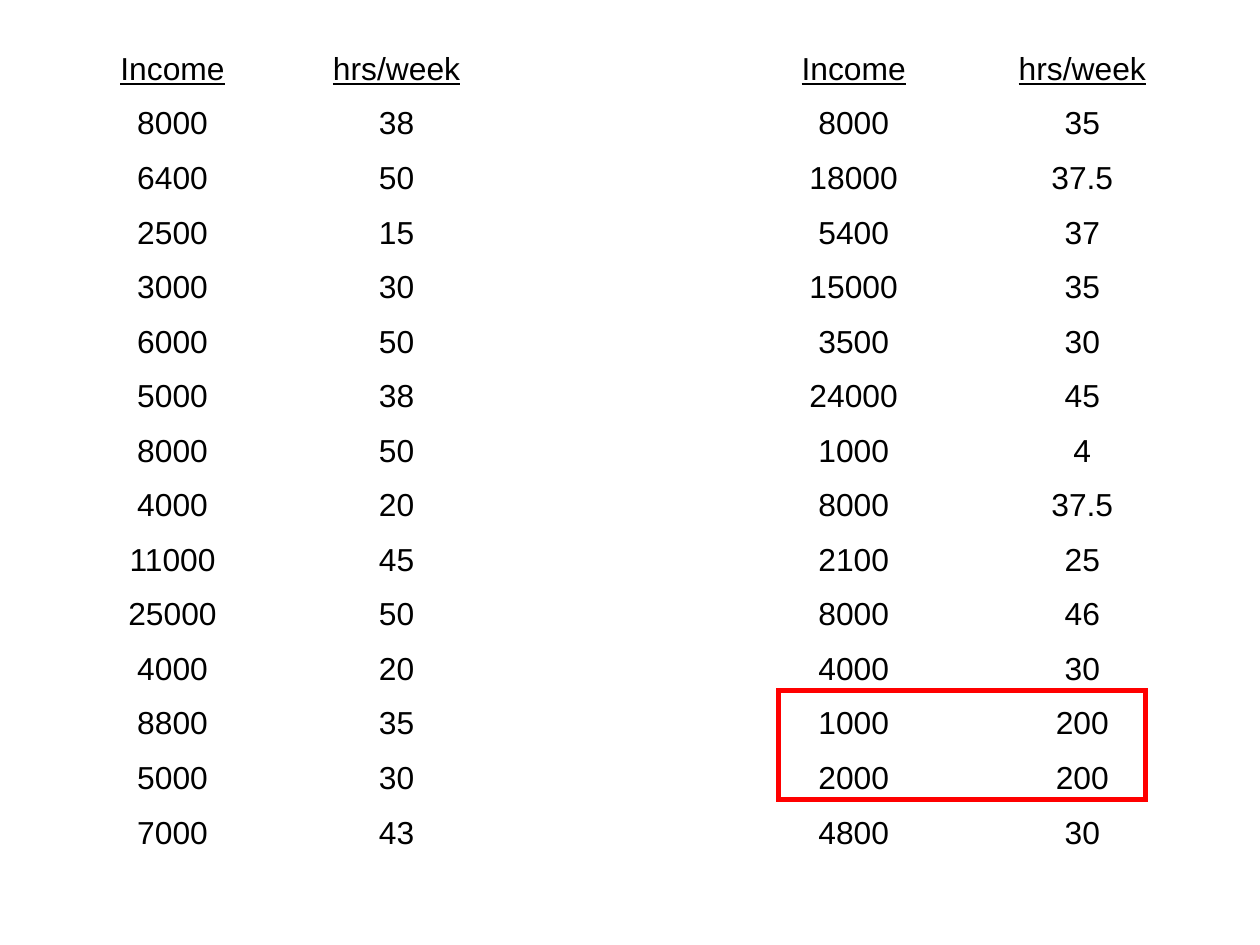
from lxml import etree
from pptx import Presentation
from pptx.dml.color import RGBColor
from pptx.enum.shapes import MSO_SHAPE
from pptx.enum.text import MSO_ANCHOR, PP_ALIGN
from pptx.oxml.ns import qn
from pptx.util import Pt

BOTTOM = MSO_ANCHOR.BOTTOM
CENTER = PP_ALIGN.CENTER
RECT = MSO_SHAPE.RECTANGLE

HEADERS = ("Income", "hrs/week")
LEFT_DATA = [
    ("8000", "38"), ("6400", "50"), ("2500", "15"), ("3000", "30"),
    ("6000", "50"), ("5000", "38"), ("8000", "50"), ("4000", "20"),
    ("11000", "45"), ("25000", "50"), ("4000", "20"), ("8800", "35"),
    ("5000", "30"), ("7000", "43"),
]
RIGHT_DATA = [
    ("8000", "35"), ("18000", "37.5"), ("5400", "37"), ("15000", "35"),
    ("3500", "30"), ("24000", "45"), ("1000", "4"), ("8000", "37.5"),
    ("2100", "25"), ("8000", "46"), ("4000", "30"), ("1000", "200"),
    ("2000", "200"), ("4800", "30"),
]
COL_WIDTHS = (138.24, 144, 144, 144, 144)
ROW_HEIGHT = 34.37
CELL_FORMAT = {
    "vertical_anchor": BOTTOM,
    "margin_left": Pt(7.2), "margin_right": Pt(7.2),
    "margin_top": Pt(3.6), "margin_bottom": Pt(3.6),
}
PARAGRAPH_FORMAT = {"alignment": CENTER, "line_spacing": 0.94}
FONT_FORMAT = {"name": "Arial", "size": Pt(20), "bold": False}


def color(hex_value):
    """Return the colour for a hex string."""
    return RGBColor.from_string(hex_value)


def apply_format(obj, values):
    """Set each attribute of an object from a dict."""
    for name, value in values.items():
        setattr(obj, name, value)


def write_cell(cell, text, header):
    """Format one cell and write its text, underlined in the header."""
    cell.fill.background()
    apply_format(cell, CELL_FORMAT)
    if not text:
        return
    p = cell.text_frame.paragraphs[0]
    apply_format(p, PARAGRAPH_FORMAT)
    r = p.add_run()
    r.text = text
    apply_format(r.font, FONT_FORMAT)
    r.font.underline = header
    r.font.color.rgb = color("000000")


def add_income_table(s, left, top):
    """Place the two income and hours lists side by side in one table."""
    rows = [HEADERS + ("",) + HEADERS]
    rows += [a + ("",) + b for a, b in zip(LEFT_DATA, RIGHT_DATA)]
    table = s.shapes.add_table(
        len(rows), len(COL_WIDTHS), Pt(left), Pt(top),
        Pt(sum(COL_WIDTHS)), Pt(ROW_HEIGHT * len(rows))).table
    table.first_row = table.horz_banding = False
    for column, width in zip(table.columns, COL_WIDTHS):
        column.width = Pt(width)
    for i, values in enumerate(rows):
        table.rows[i].height = Pt(ROW_HEIGHT)
        for j, text in enumerate(values):
            write_cell(table.cell(i, j), text, i == 0)


def add_outlier_frame(s, left, top, width, height):
    """Draw the red frame with sharp corners around the implausible hours."""
    sp = s.shapes.add_shape(RECT, Pt(left), Pt(top), Pt(width), Pt(height))
    sp.shadow.inherit = False
    sp.fill.background()
    sp.line.color.rgb = color("FF0000")
    sp.line.width = Pt(3)
    ln = sp._element.spPr.find(qn("a:ln"))
    etree.SubElement(ln, qn("a:miter"), lim="800000")


def main():
    """Build and save the slide."""
    prs = Presentation()
    prs.slide_width, prs.slide_height = Pt(793.75), Pt(595.25)
    s = prs.slides.add_slide(prs.slide_layouts[6])
    add_income_table(s, 39.6, 24.1)
    add_outlier_frame(s, 490.32, 434.88, 231.12, 68.8)
    prs.save("out.pptx")


if __name__ == "__main__":
    main()
